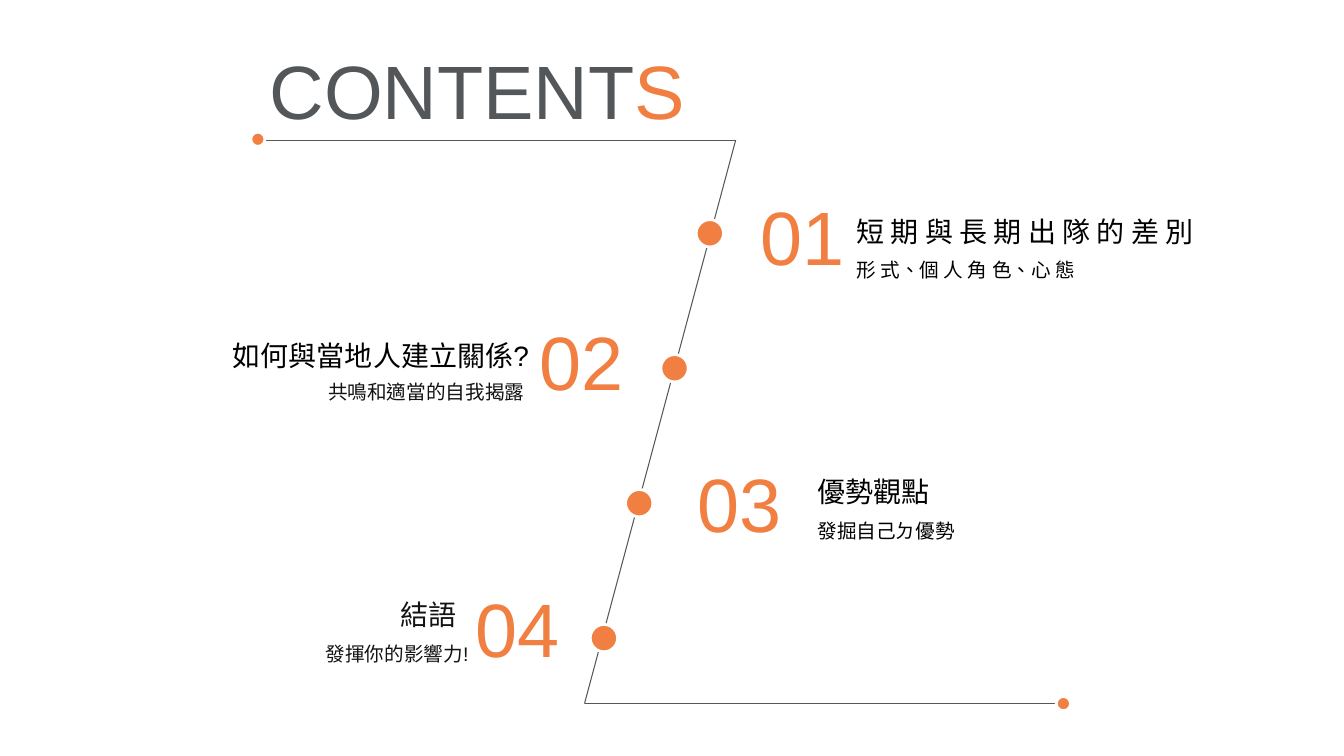
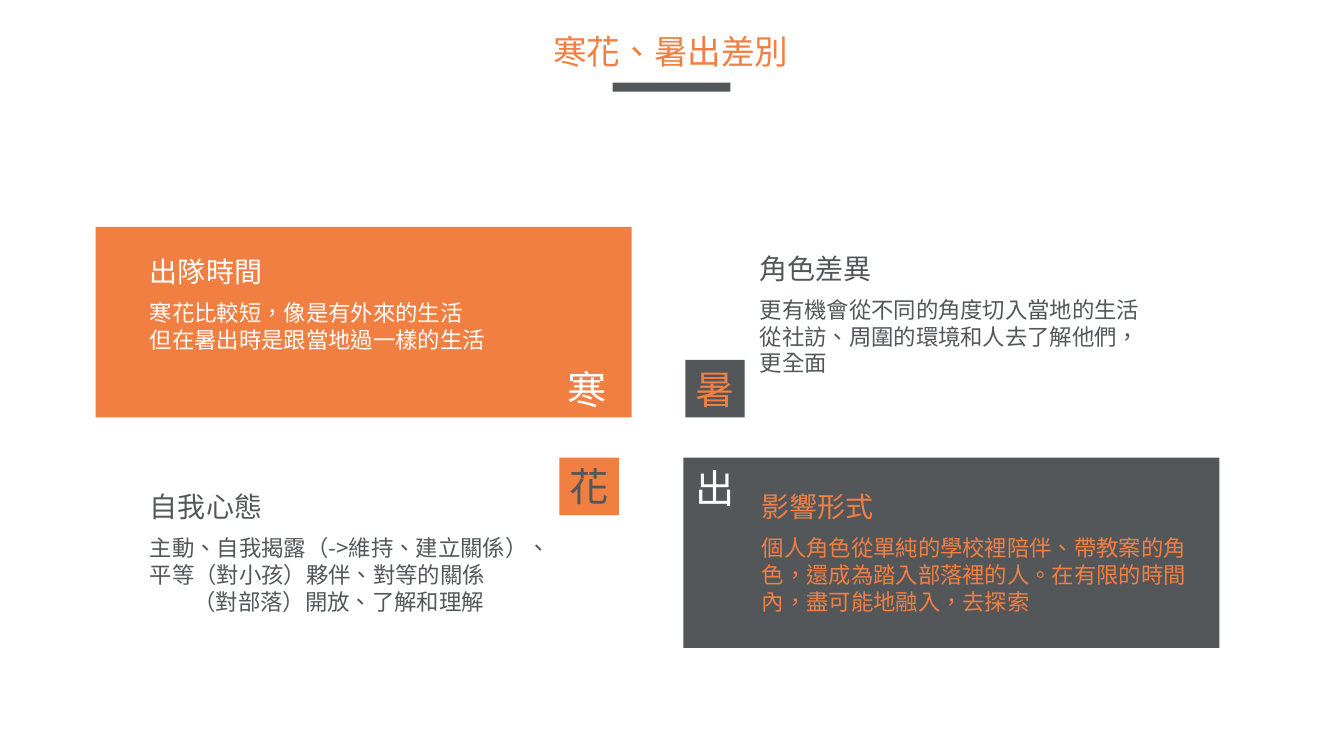
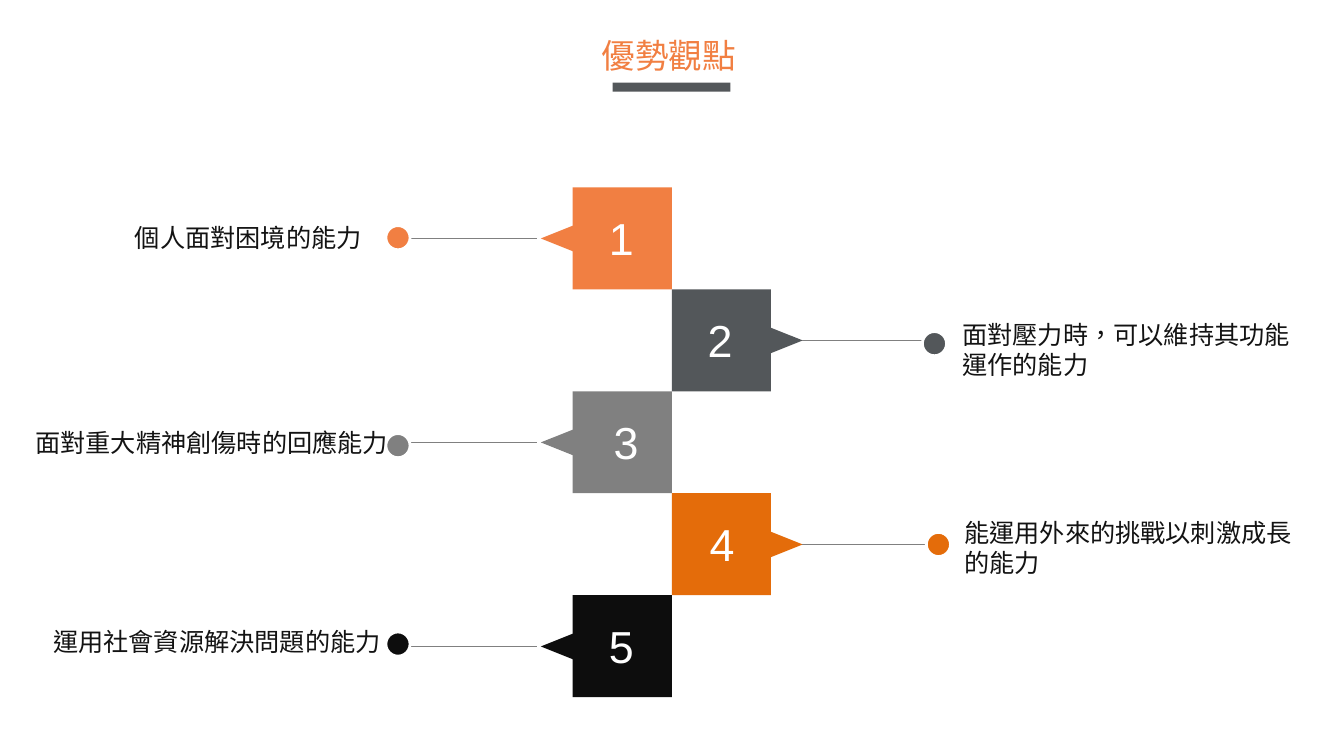
from lxml.etree import SubElement
from pptx import Presentation
from pptx.dml.color import RGBColor
from pptx.enum.shapes import MSO_CONNECTOR, MSO_SHAPE
from pptx.enum.text import MSO_ANCHOR, MSO_AUTO_SIZE, PP_ALIGN
from pptx.oxml.ns import qn
from pptx.util import Cm, Pt

COLORS = {
    "orange": "F17F42",
    "slate": "53575A",
    "gray": "808080",
    "amber": "E46C0A",
    "coal": "0D0D0D",
    "ink": "131313",
    "black": "000000",
    "white": "FFFFFF",
}
LATIN, CALIBRI, CJK = "Arial", "Calibri", "Noto Sans CJK SC"
LEFT, CENTER = PP_ALIGN.LEFT, PP_ALIGN.CENTER


def rgb(name):
    return RGBColor.from_string(COLORS[name])


def place(sp, x, y, w, h):
    sp.left, sp.top, sp.width, sp.height = Cm(x), Cm(y), Cm(w), Cm(h)


def style_paragraph(p, size, color, font=LATIN, align=LEFT):
    """Set the Latin and East Asian fonts of a whole paragraph."""
    p.alignment = align
    p.font.size = Pt(size)
    p.font.name = font
    p.font.color.rgb = rgb(color)
    props = p._p.get_or_add_pPr().find(qn("a:defRPr"))
    props.set("lang", "zh-TW")
    SubElement(props, qn("a:ea"), typeface=CJK)


def write(sp, lines, size, color, font=LATIN, align=LEFT, wrap=False):
    tf = sp.text_frame
    tf.word_wrap = wrap
    tf.auto_size = MSO_AUTO_SIZE.NONE
    tf.vertical_anchor = MSO_ANCHOR.TOP
    tf.text = lines
    for p in tf.paragraphs:
        style_paragraph(p, size, color, font, align)
    return tf


def add_text(s, x, y, w, h, lines, size, color, **options):
    box = s.shapes.add_textbox(Cm(x), Cm(y), Cm(w), Cm(h))
    return write(box, lines, size, color, **options)


def paint(sp, color):
    sp.shadow.inherit = False
    sp.fill.solid()
    sp.fill.fore_color.rgb = rgb(color)
    sp.line.fill.background()


def add_rect(s, x, y, w, h, color):
    sp = s.shapes.add_shape(MSO_SHAPE.RECTANGLE, Cm(x), Cm(y), Cm(w), Cm(h))
    paint(sp, color)
    return sp


def add_dot(s, cx, cy, d, color):
    """Add a white-rimmed dot around a centre point."""
    sp = s.shapes.add_shape(MSO_SHAPE.OVAL, Cm(cx - d / 2), Cm(cy - d / 2), Cm(d), Cm(d))
    paint(sp, color)
    sp.line.color.rgb = rgb("white")
    sp.line.width = Pt(2)


def add_line(s, start, end, color):
    x1, y1 = start
    x2, y2 = end
    line = s.shapes.add_connector(MSO_CONNECTOR.STRAIGHT, Cm(x1), Cm(y1), Cm(x2), Cm(y2))
    line.line.color.rgb = rgb(color)
    line.line.width = Pt(0.75)
    SubElement(line._element.spPr, qn("a:effectLst"))


def add_flag(s, inner, top, side, color):
    """Add a square whose outer edge has a pointer; side is -1 left, 1 right."""
    edge, tip = inner + side * 2.5, inner + side * 3.3
    points = [(inner, top + 2.57), (edge, top + 2.57), (edge, top + 1.61),
              (tip, top + 1.29), (edge, top + 0.97), (edge, top)]
    outline = s.shapes.build_freeform(Cm(inner), Cm(top))
    outline.add_line_segments([(Cm(x), Cm(y)) for x, y in points], close=True)
    paint(outline.convert_to_shape(), color)


def add_slide(prs):
    return prs.slides.add_slide(prs.slide_layouts[5])


def add_titled_slide(prs, title, x, y, w):
    s = add_slide(prs)
    place(s.shapes.title, x, y, w, 1.27)
    write(s.shapes.title, title, 24, "orange")
    add_rect(s, 15.44, 2.08, 2.97, 0.23, "slate")
    return s


def build_contents(prs):
    s = add_slide(prs)
    title = s.shapes.title
    place(title, 6.48, 0.97, 11.1, 2.57)
    p = write(title, "CONTENT", 54, "slate", align=CENTER).paragraphs[0]
    r = p.add_run()
    r.text = "S"
    r.font.color.rgb = rgb("orange")

    route = [(6.53, 3.53), (18.54, 3.53), (14.73, 17.73), (26.75, 17.73)]
    for start, end in zip(route, route[1:]):
        add_line(s, start, end, "slate")
    for cx, cy in ((6.5, 3.51), (26.8, 17.73)):
        add_dot(s, cx, cy, 0.36, "orange")

    # number x, y; then x, y, width, text, font, colour of heading and detail
    chapters = [
        (18.92, 4.65, LEFT,
         (21.34, 5.28, 9.25, "短 期 與 長 期 出 隊 的 差 別", CALIBRI, "black"),
         (21.34, 6.38, 10.8, "形 式、個 人 角 色、心 態", CALIBRI, "black")),
        (13.34, 7.82, CENTER,
         (5.61, 8.41, 7.98, "如何與當地人建立關係?", LATIN, "black"),
         (7.72, 9.45, 6.05, "共鳴和適當的自我揭露", LATIN, "ink")),
        (17.32, 11.38, LEFT,
         (20.35, 11.84, 3.35, "優勢觀點", CALIBRI, "black"),
         (20.35, 12.95, 10.8, "發掘自己ㄉ優勢", CALIBRI, "black")),
        (11.73, 14.53, CENTER,
         (9.83, 14.94, 1.93, "結語", CJK, "ink"),
         (7.92, 16.05, 4.04, "發揮你的影響力!", LATIN, "ink")),
    ]
    for i, (num_x, num_y, align, heading, detail) in enumerate(chapters):
        add_dot(s, 17.89 - 0.89 * i, 5.88 + 3.4 * i, 0.69, "orange")
        add_text(s, num_x, num_y, 3, 2.57, f"{i + 1:02}", 54, "orange", wrap=True)
        for part, h, size, wrap in ((heading, 1.12, 20, False), (detail, 0.86, 14, True)):
            x, y, w, text, font, color = part
            add_text(s, x, y, w, h, text, size, color, font=font, align=align, wrap=wrap)


def build_differences(prs):
    s = add_titled_slide(prs, "寒花、暑出差別", 13.69, 0.66, 6.5)
    add_rect(s, 2.41, 5.72, 13.51, 4.8, "orange")
    add_rect(s, 17.22, 11.53, 13.51, 4.8, "slate")

    add_text(s, 14.05, 9.07, 1.5, 1.45, "寒", 28, "white")
    add_text(s, 17.27, 11.58, 1.5, 1.45, "出", 28, "white")
    write(add_rect(s, 17.27, 9.07, 1.5, 1.45, "slate"), "暑", 28, "orange")
    write(add_rect(s, 14.1, 11.53, 1.5, 1.45, "orange"), "花", 28, "slate")

    topics = [
        (3.53, 6.3, 11.38, "white", "出隊時間",
         "寒花比較短，像是有外來的生活\n但在暑出時是跟當地過一樣的生活"),
        (18.9, 6.22, 10.44, "slate", "角色差異",
         "更有機會從不同的角度切入當地的生活\n從社訪、周圍的環境和人去了解他們，更全面"),
        (18.95, 12.22, 11.38, "orange", "影響形式",
         "個人角色從單純的學校裡陪伴、帶教案的角色，還成為踏入部落裡的人。"
         "在有限的時間內，盡可能地融入，去探索"),
        (3.53, 12.22, 10.57, "slate", "自我心態",
         "主動、自我揭露（->維持、建立關係）、平等（對小孩）夥伴、對等的關係\n"
         "（對部落）開放、了解和理解"),
    ]
    for x, y, w, color, heading, body in topics:
        add_text(s, x, y, 3.35, 1.12, heading, 20, color)
        tf = add_text(s, x, y + 1.11, w, 2.31, body, 16, color, font=CJK, wrap=True)
        for p in tf.paragraphs:
            if p.text.startswith("（"):
                p._p.get_or_add_pPr().set("indent", str(Cm(1.1)))


def build_strengths(prs):
    s = add_titled_slide(prs, "優勢觀點", 14.91, 0.76, 3.94)
    # colour, number x, dot centre x, y, label x, y, width, text
    abilities = [
        ("orange", 15.09, 10.03, 5.99, 3.15, 5.49, 6.27, "個人面對困境的能力"),
        ("slate", 17.58, 23.55, 8.66, 24, 7.92, 9.14, "面對壓力時，可以維持其功能運作的能力"),
        ("gray", 15.21, 10.03, 11.23, 0.64, 10.64, 9.5, "面對重大精神創傷時的回應能力"),
        ("amber", 17.63, 23.65, 13.72, 24.05, 12.9, 8.76, "能運用外來的挑戰以刺激成長的能力"),
        ("coal", 15.09, 10.03, 16.23, 1.09, 15.65, 8.84, "運用社會資源解決問題的能力"),
    ]
    for i, (color, num_x, dot_x, dot_y, x, y, w, label) in enumerate(abilities):
        top = 4.72 + 2.57 * i
        on_right = i % 2 == 1
        add_flag(s, 16.93, top, 1 if on_right else -1, color)
        add_text(s, num_x, top + 0.47, 1.14, 1.63, str(i + 1), 32, "white", align=CENTER)
        line_x = 20.2 if on_right else 10.26
        line_y = top + 1.29
        add_line(s, (line_x, line_y), (line_x + 3.28, line_y), "gray")
        add_dot(s, dot_x, dot_y, 0.61, color)
        add_text(s, x, y, w, 1.8 if on_right else 1.02, label, 18, "ink", wrap=on_right)


def main():
    prs = Presentation()
    prs.slide_width, prs.slide_height = Cm(33.87), Cm(19.05)
    build_contents(prs)
    build_differences(prs)
    build_strengths(prs)
    prs.save("out.pptx")


if __name__ == "__main__":
    main()
